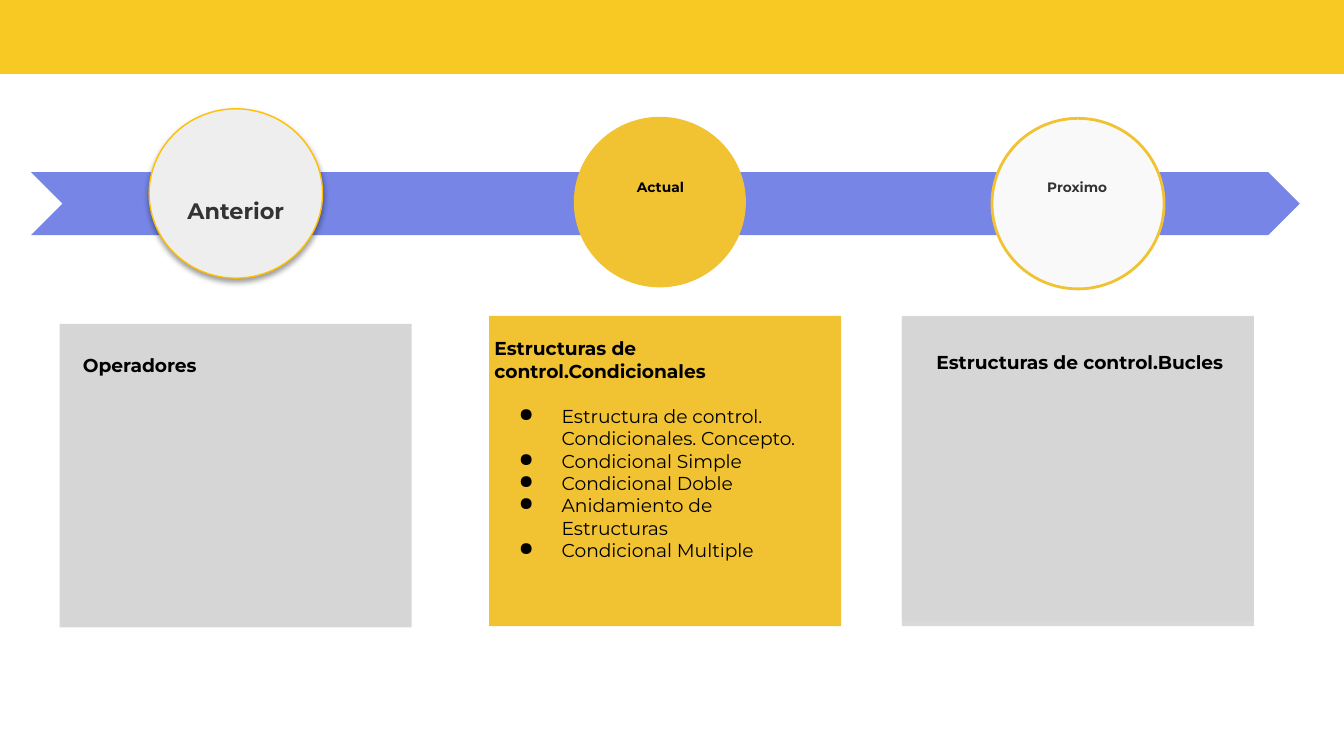
import dataclasses

import lxml.etree
import pptx
import pptx.dml.color
import pptx.enum.shapes
import pptx.enum.text
import pptx.oxml.ns
import pptx.util

Pt = pptx.util.Pt
SHAPE = pptx.enum.shapes.MSO_SHAPE
ALIGN = pptx.enum.text.PP_ALIGN
qn = pptx.oxml.ns.qn


@dataclasses.dataclass(frozen=True)
class Theme:
    font: str = "Montserrat"
    banner: str = "F8C823"
    arrow: str = "7685E6"
    accent: str = "F1C232"
    previous_fill: str = "EEEEEE"
    previous_line: str = "FFC000"
    next_fill: str = "F9F9F9"
    card: str = "D6D6D6"
    card_base: str = "D9D9D9"
    ink: str = "000000"
    soft_ink: str = "333333"
    body_size: float = 10
    previous_size: float = 12
    current_size: float = 7.4
    next_size: float = 7.3


THEME = Theme()
CARD_WIDTH = 188.6
CARD_HEIGHT = 162.7
TALL_CARD_HEIGHT = 166.3
CARD_TOP = 169.2
TOPICS = (
    "Estructura de control. Condicionales. Concepto.",
    "Condicional Simple",
    "Condicional Doble",
    "Anidamiento de Estructuras",
    "Condicional Multiple",
)


def rgb(color):
    return pptx.dml.color.RGBColor.from_string(color)


def add_block(slide, kind, box, fill, line=None, line_width=1.5):
    block = slide.shapes.add_shape(kind, *map(Pt, box))
    block.shadow.inherit = False
    block.fill.solid()
    block.fill.fore_color.rgb = rgb(fill)
    if line:
        block.line.color.rgb = rgb(line)
        block.line.width = Pt(line_width)
    else:
        block.line.fill.background()
    return block


def add_drop_shadow(block):
    effects = block._element.spPr.find(qn("a:effectLst"))
    shadow = lxml.etree.SubElement(
        effects, qn("a:outerShdw"), blurRad=str(Pt(3.1)), dist=str(Pt(1.6)),
        dir="5400000", algn="ctr", rotWithShape="0")
    color = lxml.etree.SubElement(shadow, qn("a:srgbClr"), val=THEME.ink)
    lxml.etree.SubElement(color, qn("a:alpha"), val="38000")


def add_text_area(slide, box, top_inset, bottom_inset):
    frame = slide.shapes.add_textbox(*map(Pt, box)).text_frame
    frame.word_wrap = True
    frame.vertical_anchor = pptx.enum.text.MSO_ANCHOR.TOP
    frame.margin_left = frame.margin_right = Pt(7.2)
    frame.margin_top = Pt(top_inset)
    frame.margin_bottom = Pt(bottom_inset)
    return frame


def write(paragraph, text, size=THEME.body_size, color=THEME.ink, bold=True,
          align=ALIGN.LEFT, space_after=0):
    paragraph.alignment = align
    paragraph.space_after = Pt(space_after)
    run = paragraph.add_run()
    run.text = text
    run.font.name = THEME.font
    run.font.size = Pt(size)
    run.font.bold = bold
    run.font.color.rgb = rgb(color)


def add_bullet(paragraph):
    properties = paragraph._p.get_or_add_pPr()
    properties.set("marL", str(Pt(36)))
    properties.set("indent", str(-Pt(23)))
    color = lxml.etree.SubElement(properties, qn("a:buClr"))
    lxml.etree.SubElement(color, qn("a:srgbClr"), val=THEME.ink)
    lxml.etree.SubElement(properties, qn("a:buChar"), char="●")


def add_label(slide, text, box, top_inset=7.2, bottom_inset=7.2, **style):
    frame = add_text_area(slide, box, top_inset, bottom_inset)
    write(frame.paragraphs[0], text, **style)
    return frame


def add_timeline(slide):
    arrow = add_block(slide, SHAPE.CHEVRON, (16.6, 92.2, 679.7, 33.8), THEME.arrow)
    arrow.adjustments[0] = 0.5
    add_block(slide, SHAPE.OVAL, (307.4, 62.6, 92.2, 91.4), THEME.accent)
    add_block(slide, SHAPE.OVAL, (531.4, 63.4, 92.2, 91.4), THEME.next_fill,
              line=THEME.accent)
    previous = add_block(slide, SHAPE.OVAL, (79.9, 58.3, 92.9, 90.7),
                         THEME.previous_fill, line=THEME.previous_line,
                         line_width=0.75)
    add_drop_shadow(previous)

    add_label(slide, "Anterior", (90.7, 93.6, 71.3, 23), 12.2, 0,
              size=THEME.previous_size, color=THEME.soft_ink, align=ALIGN.CENTER)
    add_label(slide, "Actual", (318.2, 91.4, 71.3, 23),
              size=THEME.current_size, align=ALIGN.CENTER)
    add_label(slide, "Proximo", (541.4, 91.4, 71.3, 23),
              size=THEME.next_size, color=THEME.soft_ink, align=ALIGN.CENTER)


def add_cards(slide):
    for left, top, height, fill in (
        (262.1, CARD_TOP, TALL_CARD_HEIGHT, THEME.accent),
        (483.1, CARD_TOP, TALL_CARD_HEIGHT, THEME.card_base),
        (31.9, 173.5, CARD_HEIGHT, THEME.card),
        (483.1, 169.9, CARD_HEIGHT, THEME.card),
    ):
        add_block(slide, SHAPE.RECTANGLE, (left, top, CARD_WIDTH, height), fill)

    add_label(slide, "Operadores", (37.4, 185.8, 182.9, 182.2), 3.6, 3.6)
    add_label(slide, "Estructuras de control.Bucles",
              (494.6, 184.3, 171.4, 76.3), 3.6, 3.6)
    current = add_label(slide, "Estructuras de control.Condicionales",
                        (257.8, 173.5, CARD_WIDTH, CARD_HEIGHT), space_after=12)
    for topic in TOPICS:
        paragraph = current.add_paragraph()
        write(paragraph, topic, bold=False)
        add_bullet(paragraph)


def main():
    presentation = pptx.Presentation()
    presentation.slide_width = Pt(720)
    presentation.slide_height = Pt(405)
    slide = presentation.slides.add_slide(presentation.slide_layouts[6])
    add_block(slide, SHAPE.RECTANGLE, (-0.7, -3.6, 721.4, 43.2), THEME.banner)
    add_timeline(slide)
    add_cards(slide)
    presentation.save("out.pptx")


if __name__ == "__main__":
    main()
